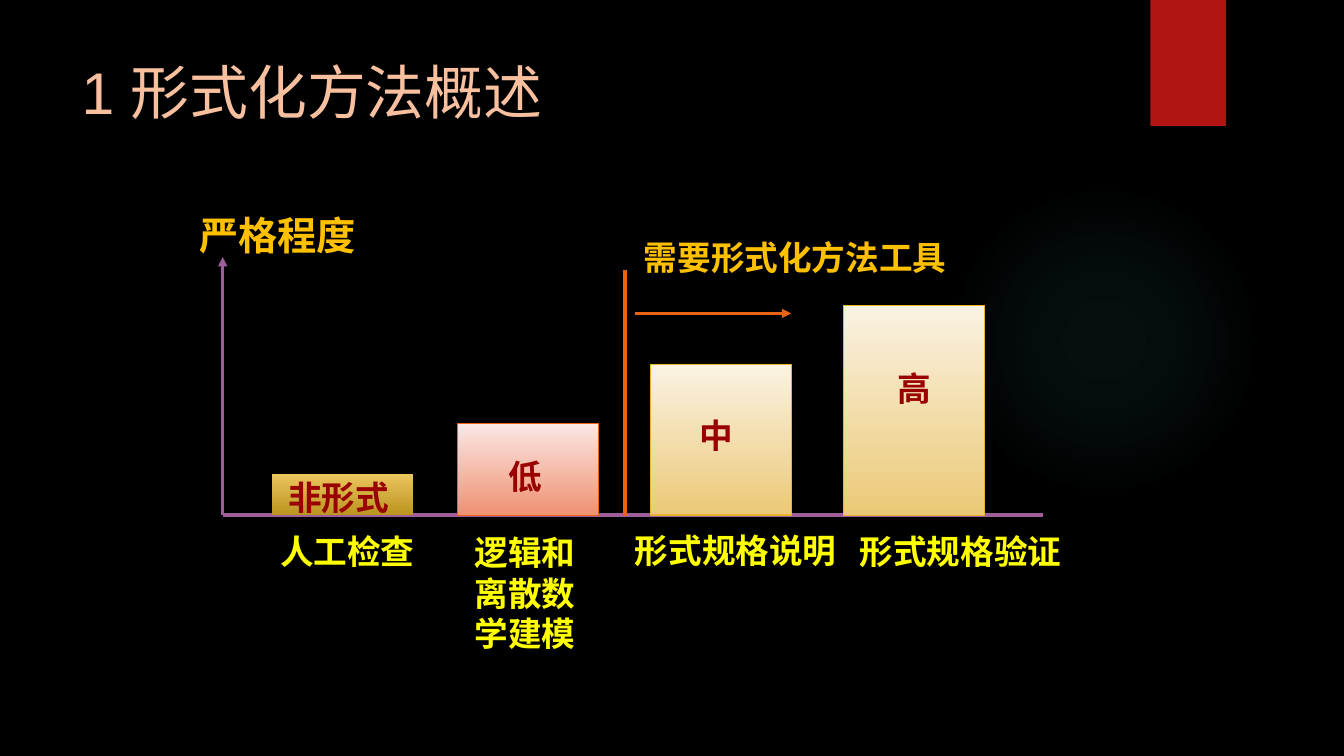
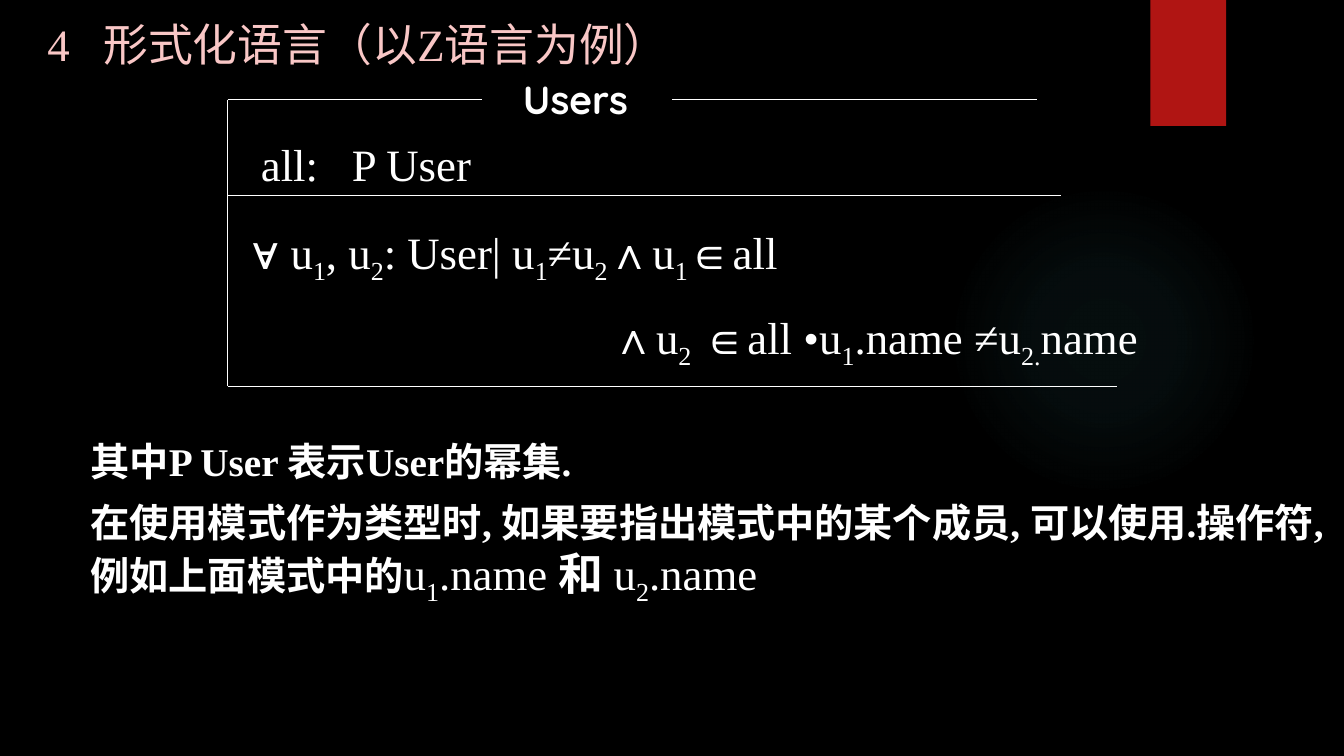
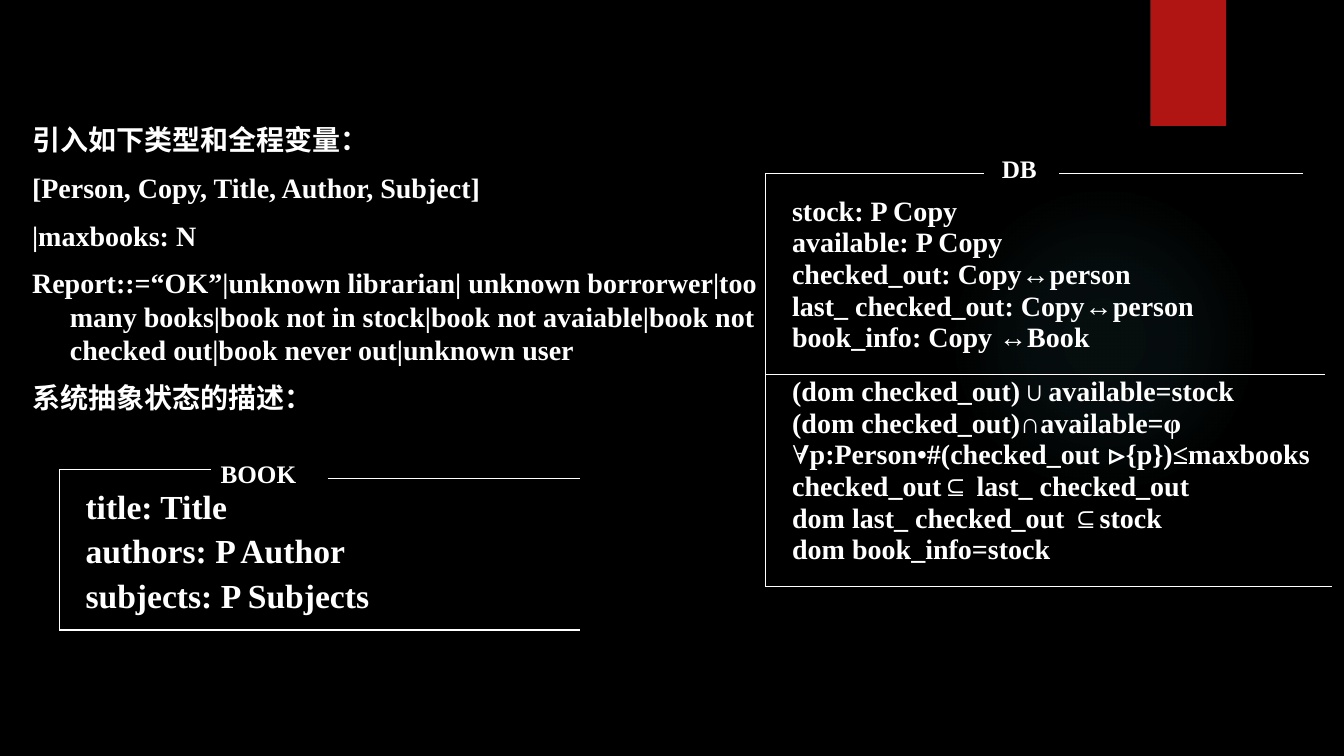
from dataclasses import dataclass, replace
from typing import NamedTuple, Optional

import pptx
import pptx.dml.color
import pptx.enum.lang
import pptx.enum.shapes
import pptx.enum.text
import pptx.oxml
import pptx.oxml.ns
import pptx.util

Pt = pptx.util.Pt
qn = pptx.oxml.ns.qn
SHAPE = pptx.enum.shapes.MSO_SHAPE

COLORS = {
    "background": "000000", "band": "B01513", "glow": "50B9C1",
    "text": "FFFFFF", "title": "F8C09F", "title_pink": "F9C7C6",
    "axis": "9E5E9B", "orange": "EA6312", "gold": "E6B729",
    "heading": "FFC000", "caption": "FFFF00", "level": "990000",
    "ochre_top": "EBC65F", "ochre_end": "BB941F",
    "rose_top": "FBE8E4", "rose_end": "EF9173",
    "cream_top": "FAF2E3", "cream_end": "ECC977",
}
SERIF = "Times New Roman"
SANS = "Arial"
TITLE_ONLY, BLANK = 5, 6


class Box(NamedTuple):
    left: float
    top: float
    width: float
    height: float


class Span(NamedTuple):
    """Text whose parts between tildes are subscripts."""
    text: str
    size: Optional[float] = None
    bold: Optional[bool] = None


@dataclass(frozen=True)
class Style:
    size: float
    font: str = SERIF
    color: str = "text"
    bold: bool = False
    line_spacing: Optional[float] = None
    space_before: float = 0
    margin: float = 0
    first_indent: float = 0
    tab: float = 0


@dataclass(frozen=True)
class Bar:
    left: float
    top: float
    fill: str
    line: Optional[str]
    level: str
    level_at: tuple[float, float]
    caption: str
    caption_at: tuple[float, float]


@dataclass(frozen=True)
class Schema:
    """Open frame of a Z schema, with a gap in its top edge for the name."""
    name: str
    name_box: Box
    name_style: Style
    left: float
    top: float
    bottom: float
    gap: tuple[float, float]
    top_right: float
    bottom_right: float
    right_top: Optional[float] = None
    divider: Optional[tuple[float, float]] = None


def rgb(name: str) -> pptx.dml.color.RGBColor:
    return pptx.dml.color.RGBColor.from_string(COLORS[name])


def pts(*values: float) -> list:
    return [Pt(v) for v in values]


# Text

def write_paragraph(p, spans: list[Span], style: Style, first: bool) -> None:
    pPr = p._p.get_or_add_pPr()
    if style.tab:
        tabs = pPr.makeelement(qn("a:tabLst"), {})
        tabs.append(tabs.makeelement(
            qn("a:tab"), {"pos": str(Pt(style.tab)), "algn": "l"}))
        pPr.append(tabs)
    if style.margin:
        pPr.set("marL", str(Pt(style.margin)))
        pPr.set("indent", str(Pt(style.first_indent)))
    p.alignment = pptx.enum.text.PP_ALIGN.LEFT
    if style.line_spacing:
        p.line_spacing = style.line_spacing
    p.space_before = Pt(0 if first else style.space_before)
    for span in spans:
        for i, piece in enumerate(span.text.split("~")):
            if not piece:
                continue
            r = p.add_run()
            r.text = piece
            r.font.name = style.font
            r.font.size = Pt(span.size or style.size)
            r.font.bold = style.bold if span.bold is None else span.bold
            r.font.color.rgb = rgb(style.color)
            r.font.language_id = pptx.enum.lang.MSO_LANGUAGE_ID.SIMPLIFIED_CHINESE
            if i % 2:
                r._r.get_or_add_rPr().set("baseline", "-25000")


def add_text(s, box: Box, paragraphs: list, style: Style,
             wrap: bool = True, grow: bool = True):
    """Each paragraph is a string or a list of spans."""
    sp = s.shapes.add_textbox(*pts(*box))
    tf = sp.text_frame
    tf.word_wrap = wrap
    sizing = pptx.enum.text.MSO_AUTO_SIZE
    tf.auto_size = sizing.SHAPE_TO_FIT_TEXT if grow else sizing.NONE
    for i, item in enumerate(paragraphs):
        p = tf.add_paragraph() if i else tf.paragraphs[0]
        spans = [Span(item)] if isinstance(item, str) else item
        write_paragraph(p, spans, style, first=i == 0)
    return tf


def add_label(s, at: tuple[float, float], text: str, color: str,
              size: float = 24) -> None:
    """Bold unwrapped label, its box sized from its square characters."""
    lines = text.split("\n")
    box = Box(*at, size * max(map(len, lines)) + 15,
              size * 1.2 * len(lines) + 7.2)
    add_text(s, box, lines, Style(size, SANS, color, True), wrap=False)


def set_title(s, box: Box, text: str, style: Style) -> None:
    sp = s.shapes.title
    sp.left, sp.top, sp.width, sp.height = pts(*box)
    tf = sp.text_frame
    tf.auto_size = pptx.enum.text.MSO_AUTO_SIZE.NONE
    tf.vertical_anchor = pptx.enum.text.MSO_ANCHOR.TOP
    write_paragraph(tf.paragraphs[0], [Span(text)], style, first=True)


# Shapes and lines

def add_block(s, kind, box: Box):
    sp = s.shapes.add_shape(kind, *pts(*box))
    sp.shadow.inherit = False
    sp.line.fill.background()
    return sp


def add_line(s, start: tuple[float, float], end: tuple[float, float],
             color: str = "text", width: float = 0.75,
             arrow: bool = False) -> None:
    line = s.shapes.add_connector(
        pptx.enum.shapes.MSO_CONNECTOR.STRAIGHT, *pts(*start, *end))
    line.line.color.rgb = rgb(color)
    line.line.width = Pt(width)
    if arrow:
        ln = line.line._get_or_add_ln()
        ln.append(ln.makeelement(qn("a:tailEnd"), {"type": "triangle"}))
    spPr = line._element.spPr
    spPr.append(spPr.makeelement(qn("a:effectLst"), {}))


def add_glow(s) -> None:
    sp = add_block(s, SHAPE.OVAL, Box(677.5, 131.8, 221.8, 221.8))
    stops = "".join(
        f'<a:gs pos="{pos * 1000}"><a:srgbClr val="{COLORS["glow"]}">'
        f'<a:alpha val="{alpha * 1000}"/></a:srgbClr></a:gs>'
        for pos, alpha in ((0, 7), (36, 6), (69, 0)))
    sp.fill.gradient()
    spPr = sp._element.spPr
    spPr.replace(spPr.find(qn("a:gradFill")), pptx.oxml.parse_xml(
        f'<a:gradFill {pptx.oxml.ns.nsdecls("a")} rotWithShape="1">'
        f'<a:gsLst>{stops}</a:gsLst><a:path path="circle">'
        '<a:fillToRect l="50000" t="50000" r="50000" b="50000"/>'
        '</a:path></a:gradFill>'))


def add_slide(prs, layout: int):
    """New slide with the shared glow and red band."""
    s = prs.slides.add_slide(prs.slide_layouts[layout])
    add_glow(s)
    band = add_block(s, SHAPE.RECTANGLE, Box(821.8, 0, 54, 90))
    band.fill.solid()
    band.fill.fore_color.rgb = rgb("band")
    return s


def add_schema(s, schema: Schema) -> None:
    left, top, bottom = schema.left, schema.top, schema.bottom
    right_top = schema.right_top or top
    add_line(s, (left, top), (left, bottom))
    add_line(s, (left, top), (schema.gap[0], top))
    add_line(s, (schema.gap[1], right_top), (schema.top_right, right_top))
    add_line(s, (left, bottom), (schema.bottom_right, bottom))
    if schema.divider:
        right, y = schema.divider
        add_line(s, (left, y), (right, y))
    add_text(s, schema.name_box, [schema.name], schema.name_style)


# Slide 1: degrees of rigour

AXIS_X, AXIS_Y, BAR_WIDTH = 159.1, 367.9, 100.8
BARS = [
    Bar(194.4, 338.4, "ochre", None, "非形式", (198.7, 337),
        "人工检查", (193, 375.8)),
    Bar(326.9, 302.4, "rose", "orange", "低", (356.4, 321.8),
        "逻辑和\n离散数\n学建模", (331.9, 376.6)),
    Bar(464.4, 260.6, "cream", "gold", "中", (492.5, 293),
        "形式规格说明", (446.4, 375.1)),
    Bar(602.6, 218.2, "cream", "gold", "高", (634.3, 259.2),
        "形式规格验证", (607, 375.8)),
]


def add_bar(s, bar: Bar) -> None:
    sp = add_block(s, SHAPE.RECTANGLE,
                   Box(bar.left, bar.top, BAR_WIDTH, AXIS_Y - bar.top))
    sp.fill.gradient()
    sp.fill.gradient_angle = 270
    for stop, end in zip(sp.fill.gradient_stops, ("top", "end")):
        stop.color.rgb = rgb(f"{bar.fill}_{end}")
    if bar.line:
        sp.line.color.rgb = rgb(bar.line)
        sp.line.width = Pt(0.75)
    add_label(s, bar.level_at, bar.level, "level")
    add_label(s, bar.caption_at, bar.caption, "caption")


def build_overview(prs) -> None:
    s = add_slide(prs, TITLE_ONLY)
    set_title(s, Box(51.1, 36, 740.9, 71.3), "1 形式化方法概述",
              Style(42, SANS, "title"))
    add_line(s, (AXIS_X, AXIS_Y), (745.2, AXIS_Y), "axis", 2.25)
    for bar in BARS:
        add_bar(s, bar)
    add_line(s, (AXIS_X, AXIS_Y), (AXIS_X, 183.6), "axis", 2.25, arrow=True)
    add_label(s, (135.4, 147.6), "严格程度", "heading", 28)
    # Boundary beyond which tools are needed
    add_line(s, (446.4, 368.6), (446.4, 193), "orange", 2.25)
    add_line(s, (453.6, 223.9), (565.2, 223.9), "orange", 2.25, arrow=True)
    add_label(s, (452.9, 165.6), "需要形式化方法工具", "heading")


# Slide 2: the Users schema

def build_users(prs) -> None:
    s = add_slide(prs, TITLE_ONLY)
    set_title(s, Box(26.6, 8.6, 805, 69.1), "4\t形式化语言（以Z语言为例）",
              Style(32, color="title_pink", tab=40))
    add_schema(s, Schema(
        "Users", Box(366.5, 50.4, 124.6, 41), Style(28, "Quicksand", bold=True),
        left=162.7, top=71.3, bottom=275.8, gap=(344.2, 480.2),
        top_right=740.9, bottom_right=797.8, divider=(758.2, 139.7)))
    formula = Style(32, space_before=17)
    add_text(s, Box(179.3, 94.3, 601.2, 45.4), ["all:\tP User"],
             replace(formula, tab=65))
    tf = add_text(s, Box(173.5, 157, 764.6, 104.4),
                  ["∀ u~1~, u~2~: User| u~1~≠u~2~∧u~1~∈all"], formula)
    write_paragraph(tf.add_paragraph(),
                    [Span("∧u~2~ ∈all •u~1~.name ≠u~2.~name")],
                    replace(formula, margin=256), first=False)
    add_text(s, Box(57.6, 308.9, 913, 175.7), [
        "其中P User 表示User的幂集.",
        [Span("在使用模式作为类型时, 如果要指出模式中的某个成员, "
              "可以使用.操作符, 例如上面模式中的"),
         Span("u~1~.name ", 32, False),
         Span("和 ", 32),
         Span("u~2~.name", 32, False)],
    ], Style(28, bold=True, space_before=10), grow=False)


# Slide 3: the library state

def build_library(prs) -> None:
    s = add_slide(prs, BLANK)
    add_text(s, Box(15.8, 84.2, 562.3, 223.2), [
        "引入如下类型和全程变量：",
        "[Person, Copy, Title, Author, Subject]",
        "|maxbooks: N",
        "Report::=“OK”|unknown librarian| unknown borrorwer|too many books"
        "|book not in stock|book not avaiable|book not checked out"
        "|book never out|unknown user",
        "系统抽象状态的描述：",
    ], Style(20, bold=True, space_before=10, margin=27, first_indent=-27),
        grow=False)

    name_style = Style(18, bold=True)
    add_schema(s, Schema(
        "BOOK", Box(150.5, 324, 90, 28.8), name_style,
        left=42.5, top=335.5, bottom=450, gap=(150.5, 234),
        top_right=414, bottom_right=414, right_top=342))
    add_text(s, Box(54, 352.8, 293.8, 136.8),
             ["title: Title", "authors: P Author", "subjects: P Subjects"],
             Style(24, bold=True, line_spacing=0.65, space_before=12.8))

    add_schema(s, Schema(
        "DB", Box(708.5, 105.8, 59.8, 28.8), name_style,
        left=546.5, top=123.8, bottom=419, gap=(702.7, 756.7),
        top_right=931, bottom_right=951.8, divider=(946.1, 267.5)))
    state = Style(20, bold=True, line_spacing=0.5, space_before=10.6)
    add_text(s, Box(558.7, 144.7, 372.2, 116.6), [
        "stock: P Copy",
        "available: P Copy",
        "checked_out: Copy↔person",
        "last_ checked_out: Copy↔person",
        "book_info: Copy ↔Book",
    ], state)
    add_text(s, Box(558.7, 273.6, 498.2, 140.4), [
        "(dom checked_out)∪available=stock",
        "(dom checked_out)∩available=φ",
        "∀p:Person•#(checked_out ⊳{p})≤maxbooks",
        "checked_out⊆ last_ checked_out",
        "dom last_ checked_out ⊆stock",
        "dom book_info=stock",
    ], state)


def main() -> None:
    prs = pptx.Presentation()
    prs.slide_width, prs.slide_height = pts(960, 540)
    fill = prs.slide_master.background.fill
    fill.solid()
    fill.fore_color.rgb = rgb("background")
    build_overview(prs)
    build_users(prs)
    build_library(prs)
    prs.save("out.pptx")


if __name__ == "__main__":
    main()
